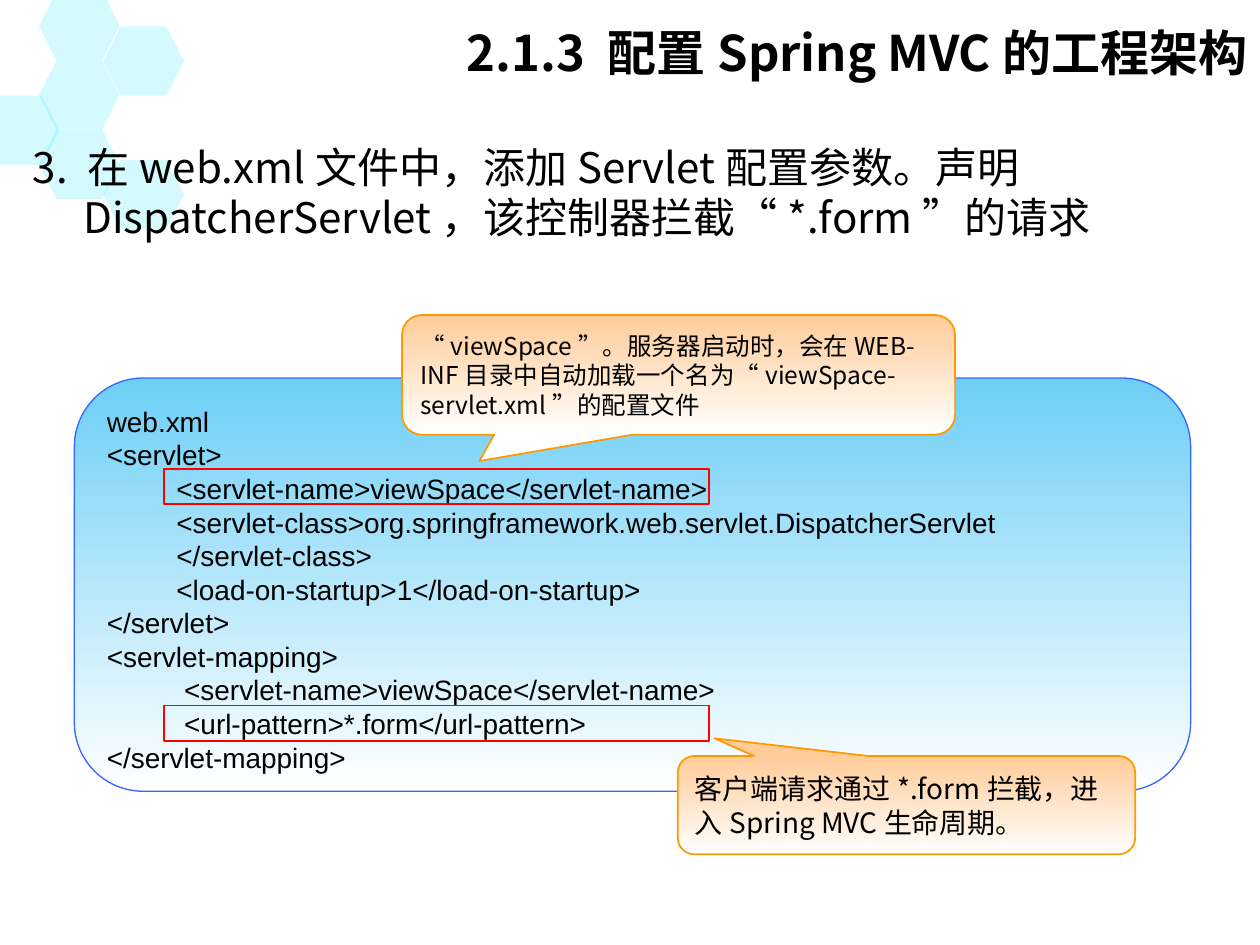
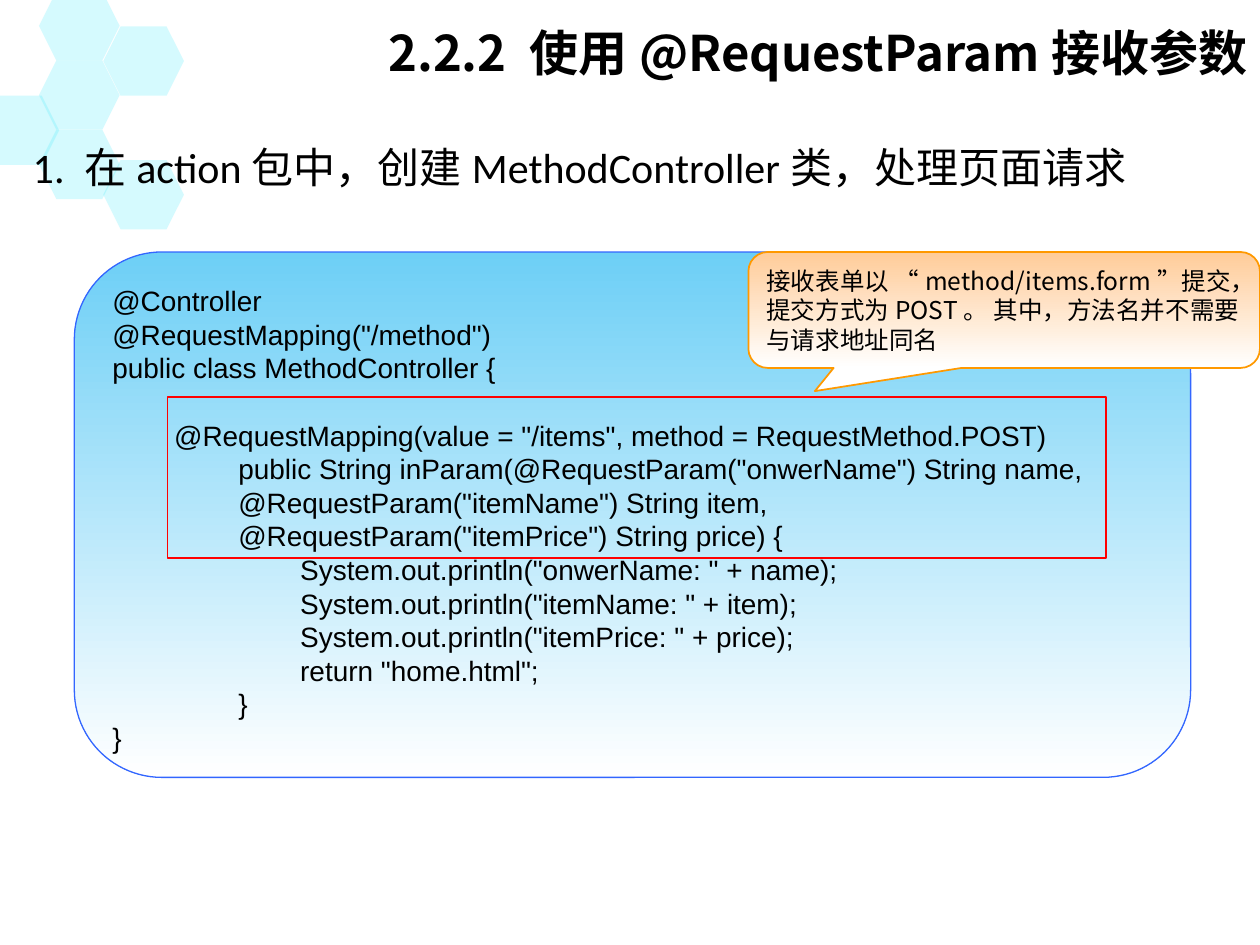
from lxml import etree
from pptx import Presentation
from pptx.dml.color import RGBColor
from pptx.enum import shapes, text
from pptx.oxml import ns
from pptx.util import Inches, Pt

BLACK = RGBColor(0x00, 0x00, 0x00)
WHITE = RGBColor(0xFF, 0xFF, 0xFF)
AQUA = RGBColor(0x24, 0xE7, 0xFC)
SKY = RGBColor(0x6D, 0xCF, 0xF6)
BLUE = RGBColor(0x33, 0x66, 0xFF)
PEACH = RGBColor(0xFF, 0xCC, 0x99)
ORANGE = RGBColor(0xFF, 0x99, 0x00)
RED = RGBColor(0xFF, 0x00, 0x00)

CJK = "Noto Sans CJK SC"
LINE_HEIGHT = 1.2
HEXAGON_SIZE = (0.64, 0.55)
HEXAGON_SPOTS = [(-0.17, 0.76), (0.31, 0.48), (0.31, 1.03),
                 (0.82, 0.21), (0.31, -0.07), (0.82, 1.27)]

WEB_XML = """\
web.xml
<servlet>
         <servlet-name>viewSpace</servlet-name>
         <servlet-class>org.springframework.web.servlet.DispatcherServlet
         </servlet-class>
         <load-on-startup>1</load-on-startup>
</servlet>
<servlet-mapping>
          <servlet-name>viewSpace</servlet-name>
          <url-pattern>*.form</url-pattern>
</servlet-mapping>"""

CONTROLLER = """\
@Controller
@RequestMapping("/method")
public class MethodController {

        @RequestMapping(value = "/items", method = RequestMethod.POST)
\tpublic String inParam(@RequestParam("onwerName") String name,
\t@RequestParam("itemName") String item,
\t@RequestParam("itemPrice") String price) {
\t        System.out.println("onwerName: " + name);
\t        System.out.println("itemName: " + item);
\t        System.out.println("itemPrice: " + price);
\t        return "home.html";
\t}
}"""


def inches(box):
    return [Inches(v) for v in box]


def write(p, words, size, font=CJK, bold=False, align=text.PP_ALIGN.LEFT):
    """Put one run into p, with line height in proportion to its size."""
    p.alignment = align
    p.line_spacing = Pt(size * LINE_HEIGHT)
    r = p.add_run()
    r.text = words
    r.font.size, r.font.name, r.font.bold = Pt(size), font, bold
    r.font.color.rgb = BLACK
    ea = etree.SubElement(r.font._element, ns.qn("a:ea"))
    ea.set("typeface", CJK)


def add_panel(parent, kind, box, line, width, top_color=None):
    """Outlined shape, fading from top_color to white, or hollow."""
    sp = parent.add_shape(kind, *inches(box))
    sp.shadow.inherit = False
    sp.line.color.rgb, sp.line.width = line, Pt(width)
    if top_color is None:
        sp.fill.background()
        return sp
    sp.fill.gradient()
    sp.fill.gradient_angle = 270
    for stop, position, color in zip(sp.fill.gradient_stops, (0, 1), (top_color, WHITE)):
        stop.position, stop.color.rgb = position, color
    sp.text_frame.word_wrap = True
    return sp


def add_hexagons(s, layout):
    """Draw the honeycomb and hand it to the layout that the slides share."""
    for spot in HEXAGON_SPOTS:
        sp = s.shapes.add_shape(shapes.MSO_SHAPE.HEXAGON, *inches(spot + HEXAGON_SIZE))
        sp.shadow.inherit = False
        sp.adjustments[0] = 0.25
        sp.fill.solid()
        sp.fill.fore_color.rgb = AQUA
        sp.line.fill.background()
        for color in sp.element.spPr.iter(ns.qn("a:srgbClr")):
            etree.SubElement(color, ns.qn("a:alpha")).set("val", "19000")
        layout.shapes.element.append(sp.element)


def place(sp, box):
    sp.left, sp.top, sp.width, sp.height = inches(box)
    sp.text_frame.auto_size = text.MSO_AUTO_SIZE.NONE
    return sp.text_frame


def add_heading(s, title, step, step_font):
    tf = place(s.shapes.title, (0.5, 0, 9.5, 0.82))
    tf.vertical_anchor = text.MSO_ANCHOR.MIDDLE
    write(tf.paragraphs[0], title, 28, bold=True, align=text.PP_ALIGN.RIGHT)

    p = place(s.placeholders[1], (0.16, 1.07, 9.84, 5.51)).paragraphs[0]
    pPr = p._p.get_or_add_pPr()
    pPr.set("marL", str(Inches(0.4)))
    pPr.set("indent", str(Inches(-0.4)))
    etree.SubElement(pPr, ns.qn("a:buNone"))
    p.space_before = Pt(0)
    write(p, step, 24, step_font)


def add_code(s, top, height, code, size=16):
    """Listing panel; an empty line of code becomes space before the next."""
    sp = add_panel(s.shapes, shapes.MSO_SHAPE.FLOWCHART_ALTERNATE_PROCESS,
                   (0.59, top, 8.86, height), BLUE, 0.75, SKY)
    tf = sp.text_frame
    tf.vertical_anchor = text.MSO_ANCHOR.TOP
    p, gap = tf.paragraphs[0], 0
    for number, line in enumerate(code.split("\n")):
        if not line:
            gap += size * LINE_HEIGHT
            continue
        if number:
            p = tf.add_paragraph()
        if line.startswith("\t"):
            tabs = etree.SubElement(p._p.get_or_add_pPr(), ns.qn("a:tabLst"))
            tab = etree.SubElement(tabs, ns.qn("a:tab"))
            tab.set("pos", str(Inches(1)))
            tab.set("algn", "l")
        if gap:
            p.space_before = Pt(gap)
            gap = 0
        write(p, line, size, "Arial")


def add_note(s, box, tip, words, size, marked_box):
    """Callout grouped with the red frame round the code it explains."""
    group = s.shapes.add_group_shape().shapes
    sp = add_panel(group, shapes.MSO_SHAPE.ROUNDED_RECTANGULAR_CALLOUT, box, ORANGE, 1, PEACH)
    sp.adjustments[0], sp.adjustments[1] = tip
    sp.text_frame.vertical_anchor = text.MSO_ANCHOR.MIDDLE
    write(sp.text_frame.paragraphs[0], words, size)
    add_panel(group, shapes.MSO_SHAPE.RECTANGLE, marked_box, RED, 1)


def build_config_slide(s):
    add_heading(s, "2.1.3 配置Spring MVC的工程架构",
                "3. 在web.xml文件中，添加Servlet配置参数。声明DispatcherServlet，"
                "该控制器拦截“*.form”的请求", CJK)
    add_code(s, 3, 3.28, WEB_XML)
    add_note(s, (3.19, 2.5, 4.39, 0.95), (-0.36, 0.72),
             "“viewSpace”。服务器启动时，会在WEB-INF目录中自动加载一个名为"
             "“viewSpace-servlet.xml”的配置文件", 14, (1.3, 3.72, 4.33, 0.28))
    add_note(s, (5.38, 6, 3.63, 0.78), (-0.42, -0.68),
             "客户端请求通过*.form拦截，进入Spring MVC生命周期。", 16,
             (1.3, 5.6, 4.33, 0.28))


def build_param_slide(s):
    add_heading(s, "2.2.2 使用@RequestParam接收参数",
                "1. 在action包中，创建MethodController类，处理页面请求", "Calibri")
    add_code(s, 2, 4.17, CONTROLLER)
    add_note(s, (5.94, 2, 4.06, 0.92), (-0.37, 0.7),
             "接收表单以 “method/items.form”提交，提交方式为POST。 "
             "其中，方法名并不需要与请求地址同名", 14, (1.33, 3.15, 7.45, 1.28))


def main():
    prs = Presentation()
    prs.slide_width, prs.slide_height = Inches(10), Inches(7.5)
    layout = prs.slide_layouts[1]
    for build in (build_config_slide, build_param_slide):
        build(prs.slides.add_slide(layout))
    add_hexagons(prs.slides[0], layout)
    prs.save("out.pptx")


if __name__ == "__main__":
    main()
